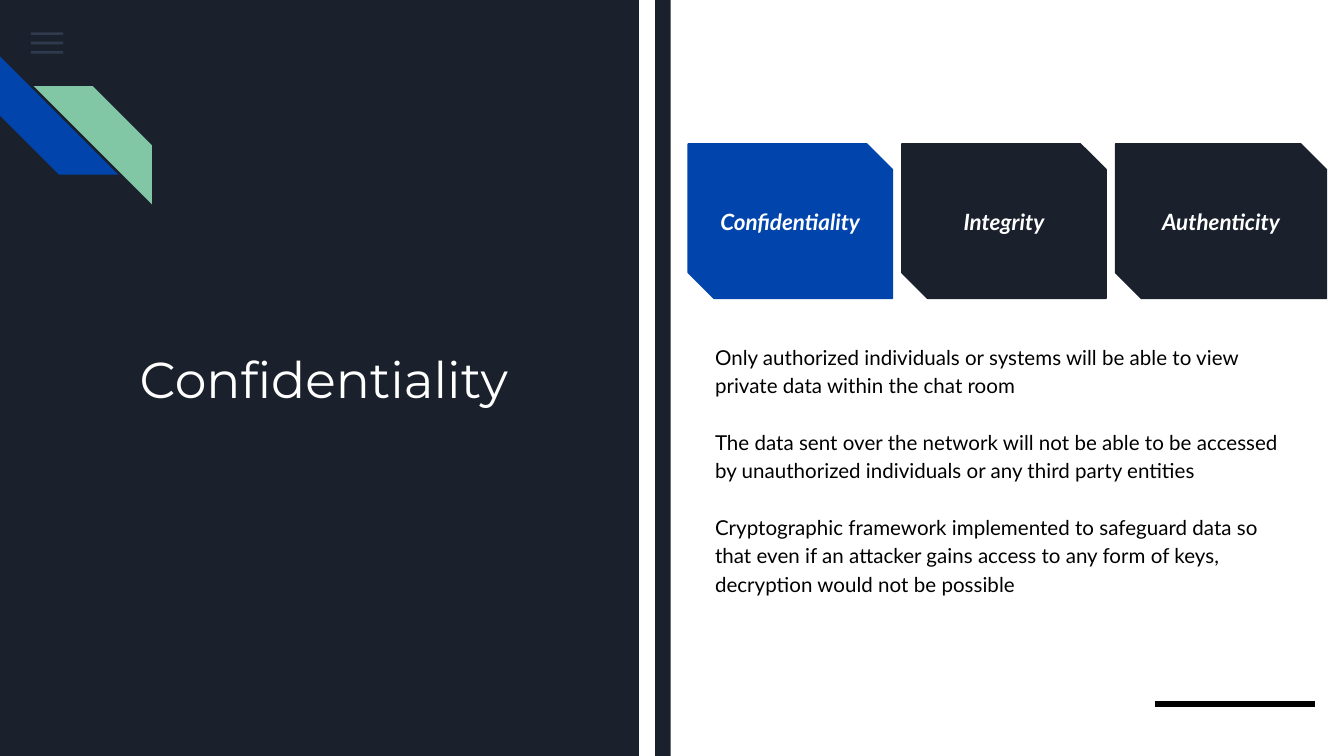
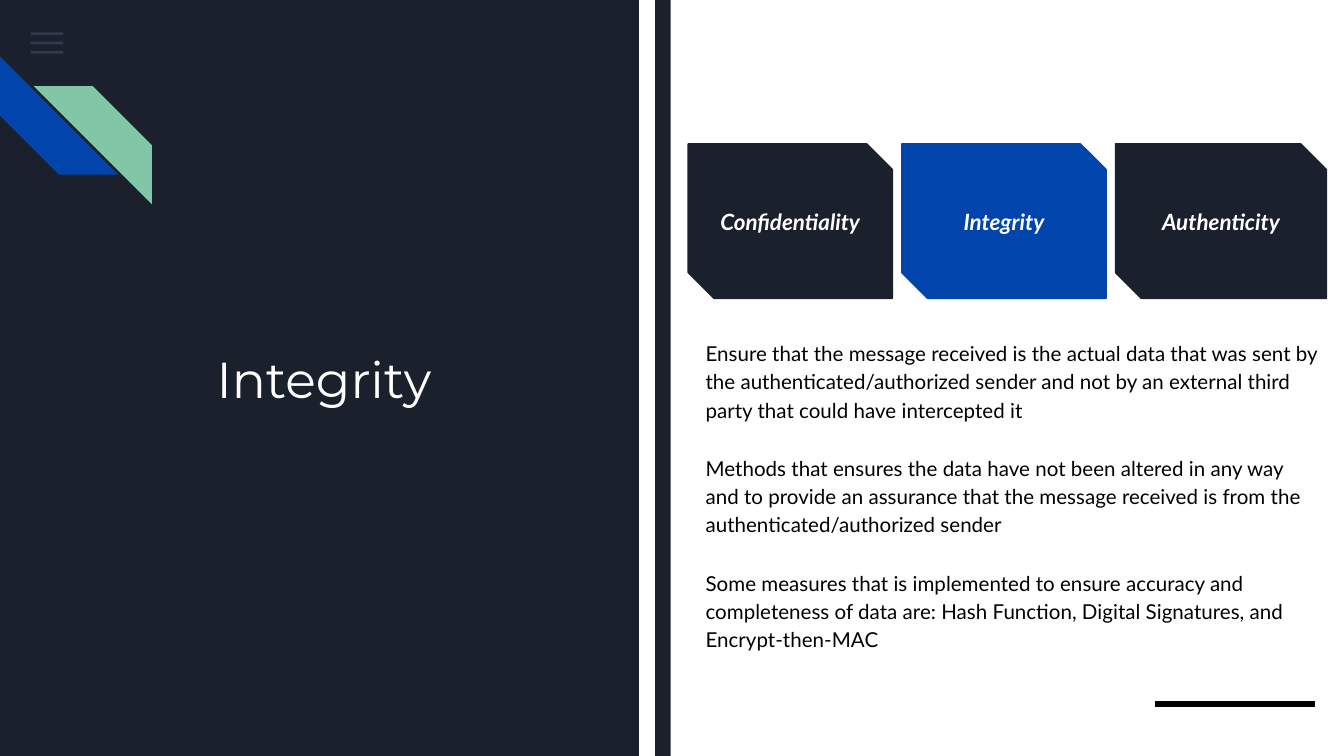
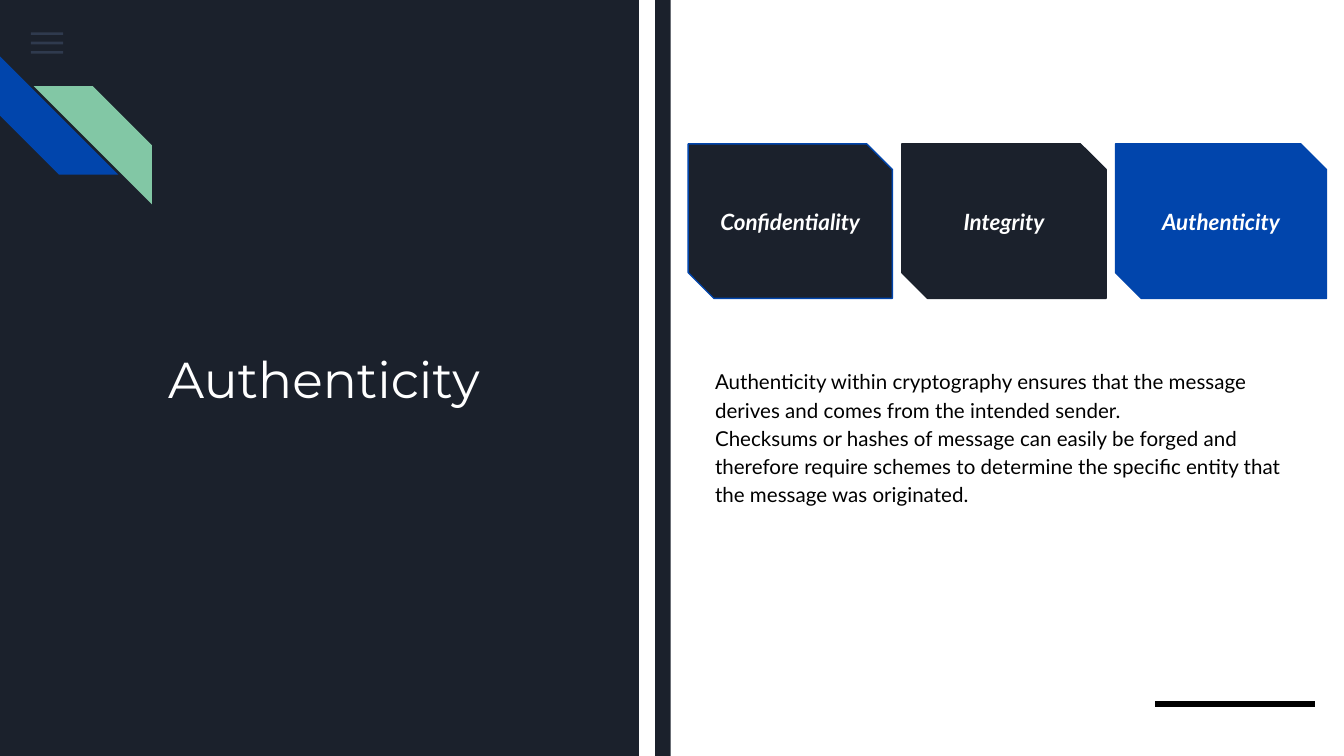
from pptx import Presentation
from pptx.dml.color import RGBColor
from pptx.enum.shapes import MSO_SHAPE
from pptx.enum.text import MSO_ANCHOR, MSO_AUTO_SIZE, PP_ALIGN
from pptx.oxml.ns import qn
from pptx.util import Inches, Pt
from lxml import etree

NAVY = RGBColor(0x1B, 0x21, 0x2C)
BLUE = RGBColor(0x01, 0x45, 0xAC)
GREEN = RGBColor(0x82, 0xC7, 0xA5)
SLATE = RGBColor(0x55, 0x68, 0x8B)
WHITE = RGBColor(0xFF, 0xFF, 0xFF)
BLACK = RGBColor(0x00, 0x00, 0x00)

# Widescreen page, 16:9
WIDTH = 10
HEIGHT = WIDTH * 9 / 16
TITLE_BOX = (0.2, 1.9, 4.42, 1.83)

# Tabs across the top of the right half
TABS = [("Confidentiality", 1.52), ("Integrity", 1.52), ("Authenticity", 1.57)]
TAB_LEFT, TAB_TOP, TAB_HEIGHT, TAB_GAP = 5.12, 1.07, 1.15, 0.07

# Each slide highlights the tab named by its title
SLIDES = [
    {
        "title": "Confidentiality",
        "box": (5.22, 2.44, 4.53, 2.66),
        "gap": 15.2,
        "text": [
            "Only authorized individuals or systems will be able to view private data "
            "within the chat room",
            "The data sent over the network will not be able to be accessed by "
            "unauthorized individuals or any third party entities",
            "Cryptographic framework implemented to safeguard data so that even if an "
            "attacker gains access to any form of keys, decryption would not be possible",
        ],
    },
    {
        "title": "Integrity",
        "box": (5.15, 2.41, 4.78, 2.8),
        "gap": 16,
        "text": [
            "Ensure that the message received is the actual data that was sent by the "
            "authenticated/authorized sender and not by an external third party that "
            "could have intercepted it",
            "Methods that ensures the data have not been altered in any way and to "
            "provide an assurance that the message received is from the "
            "authenticated/authorized sender",
            "Some measures that is implemented to ensure accuracy and completeness of "
            "data are: Hash Function, Digital Signatures, and Encrypt-then-MAC",
        ],
    },
    {
        "title": "Authenticity",
        "box": (5.22, 2.62, 4.57, 2.19),
        "gap": 0,
        "outlined": "Confidentiality",
        "text": [
            "Authenticity within cryptography ensures that the message derives and "
            "comes from the intended sender.",
            "Checksums or hashes of message can easily be forged and therefore require "
            "schemes to determine the specific entity that the message was originated.",
        ],
    },
]


def add_block(slide, box, fill, line=None, kind=MSO_SHAPE.RECTANGLE):
    shape = slide.shapes.add_shape(kind, *map(Inches, box))
    shape.shadow.inherit = False
    shape.fill.solid()
    shape.fill.fore_color.rgb = fill
    if line is None:
        shape.line.fill.background()
    else:
        shape.line.color.rgb = line
        shape.line.width = Pt(0.75)
    return shape


def set_frame(shape, anchor):
    frame = shape.text_frame
    frame.word_wrap = True
    frame.auto_size = MSO_AUTO_SIZE.NONE
    frame.vertical_anchor = anchor
    frame.margin_left = frame.margin_right = Inches(0.1)
    frame.margin_top = frame.margin_bottom = Inches(0.1)
    return frame


def add_text(paragraph, text, font, size, color, emphasis=False):
    run = paragraph.add_run()
    run.text = text
    run.font.name = font
    run.font.size = Pt(size)
    run.font.color.rgb = color
    run.font.bold = run.font.italic = emphasis


def place(slide, placeholder, box):
    """Position a placeholder and bring it to the front."""
    placeholder.left, placeholder.top, placeholder.width, placeholder.height = map(Inches, box)
    slide.shapes.element.append(placeholder.element)


def add_backdrop(slide):
    slide.background.fill.solid()
    slide.background.fill.fore_color.rgb = NAVY
    add_block(slide, (4.99, 0, WIDTH - 4.99, HEIGHT), WHITE)
    add_block(slide, (0, 0, 0.69, 0.64), NAVY)

    # Translucent menu icon
    for index in range(3):
        bar = add_block(slide, (0.23, 0.24 + 0.07 * index, 0.24, 0.02), SLATE)
        color = bar.element.spPr.find(qn("a:solidFill"))[0]
        etree.SubElement(color, qn("a:alpha"), val="36000")

    # Diagonal stripes
    for left, top, fill, rotation in [(0, 0.42, BLUE, 270), (0.25, 0.64, GREEN, 90)]:
        stripe = add_block(slide, (left, top, 0.88, 0.88), fill, kind=MSO_SHAPE.DIAGONAL_STRIPE)
        stripe.adjustments[0] = 0.5
        stripe.rotation = rotation

    # Divider and footer rule
    add_block(slide, (4.76, 0, 0.11, HEIGHT), WHITE, WHITE)
    add_block(slide, (8.59, 5.21, 1.2, 0.06), BLACK, WHITE)


def add_title(slide, text):
    title = slide.shapes.title
    place(slide, title, TITLE_BOX)
    paragraph = set_frame(title, MSO_ANCHOR.MIDDLE).paragraphs[0]
    paragraph.alignment = PP_ALIGN.CENTER
    add_text(paragraph, text, "Montserrat", 27, WHITE)


def add_body(slide, content):
    body = slide.placeholders[1]
    place(slide, body, content["box"])
    frame = set_frame(body, MSO_ANCHOR.TOP)
    for index, text in enumerate(content["text"]):
        paragraph = frame.add_paragraph() if index else frame.paragraphs[0]
        properties = paragraph._p.get_or_add_pPr()
        properties.set("marL", "0")
        properties.set("indent", "0")
        etree.SubElement(properties, qn("a:buNone"))
        paragraph.line_spacing = 1.15
        paragraph.space_before = Pt(content["gap"] if index else 0)
        add_text(paragraph, text, "Lato", 11, BLACK)


def add_tabs(slide, active, outlined):
    left = TAB_LEFT
    for label, width in TABS:
        fill = BLUE if label == active else NAVY
        line = BLUE if label in (active, outlined) else NAVY
        tab = add_block(slide, (left, TAB_TOP, width, TAB_HEIGHT), fill, line,
                        MSO_SHAPE.SNIP_2_DIAG_RECTANGLE)
        tab.adjustments[0] = 0
        tab.adjustments[1] = 1 / 6
        paragraph = set_frame(tab, MSO_ANCHOR.MIDDLE).paragraphs[0]
        paragraph.alignment = PP_ALIGN.CENTER
        add_text(paragraph, label, "Lato", 12, WHITE, emphasis=True)
        left += width + TAB_GAP


def main():
    presentation = Presentation()
    presentation.slide_width = Inches(WIDTH)
    presentation.slide_height = Inches(HEIGHT)
    for content in SLIDES:
        slide = presentation.slides.add_slide(presentation.slide_layouts[1])
        add_backdrop(slide)
        add_title(slide, content["title"])
        add_body(slide, content)
        add_tabs(slide, content["title"], content.get("outlined"))
    presentation.save("out.pptx")


if __name__ == "__main__":
    main()
